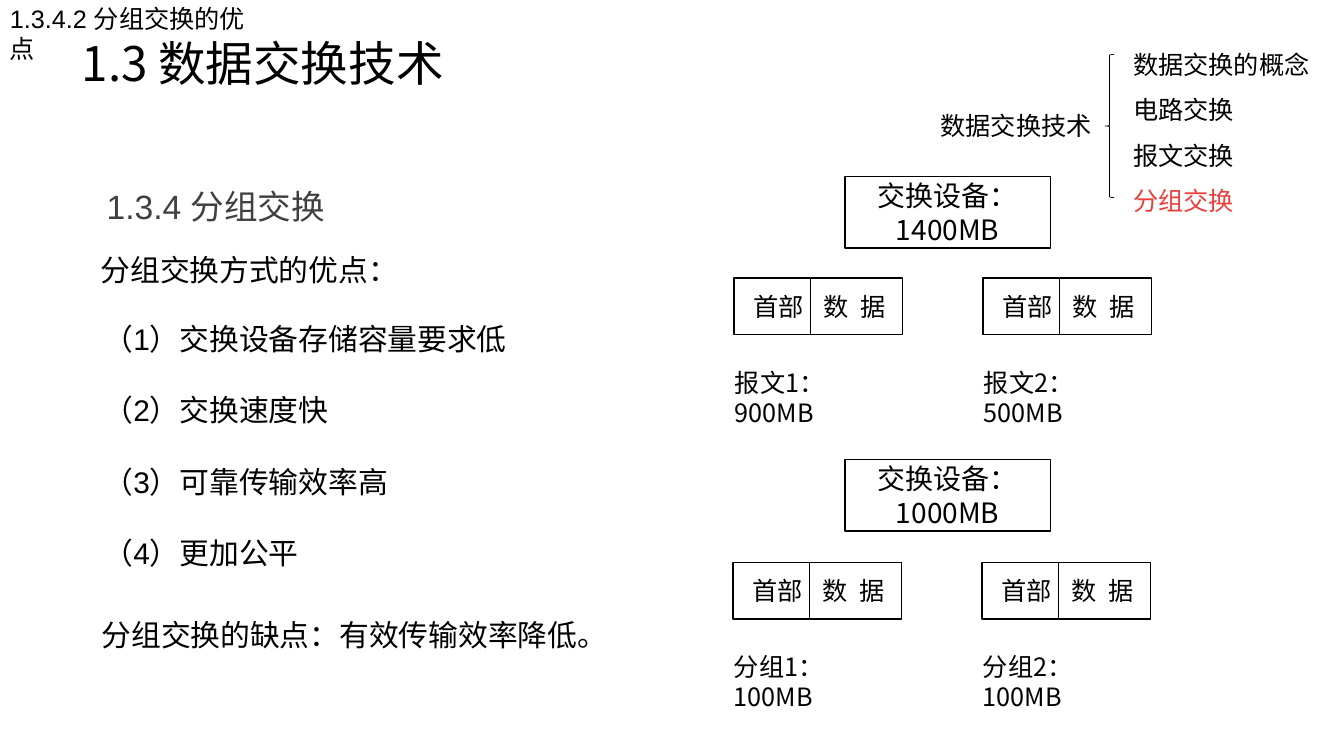
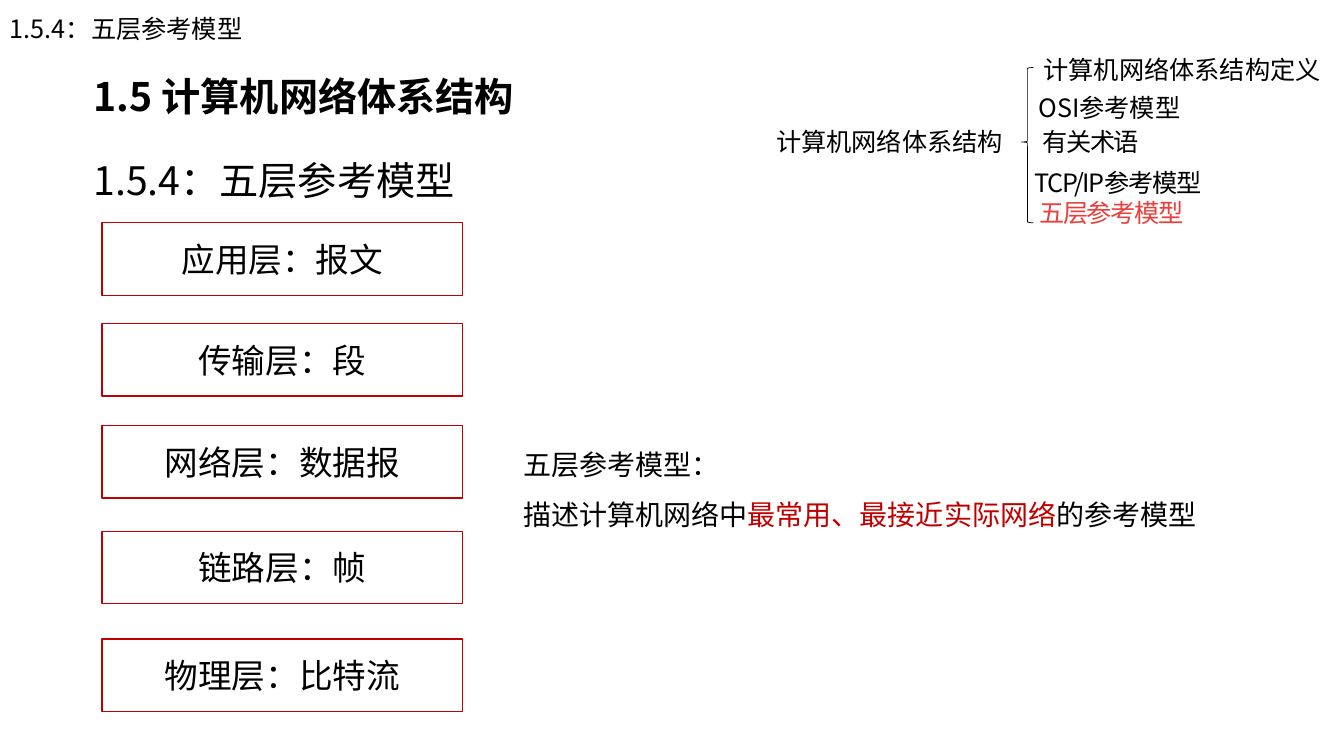
from pptx import Presentation
from pptx.dml.color import RGBColor
from pptx.enum.lang import MSO_LANGUAGE_ID
from pptx.enum.shapes import MSO_SHAPE
from pptx.enum.text import MSO_ANCHOR, PP_ALIGN
from pptx.oxml import parse_xml
from pptx.oxml.ns import nsdecls
from pptx.util import Emu, Pt

EMU_PER_PX = 9144
BLACK = RGBColor(0x00, 0x00, 0x00)
GRAY = RGBColor(0x40, 0x40, 0x40)
WHITE = RGBColor(0xFF, 0xFF, 0xFF)
RED = RGBColor(0xC0, 0x00, 0x00)
ACTIVE = RGBColor(0xE9, 0x40, 0x3C)
LATIN = "Arial"
CJK = "Noto Sans CJK SC"
TITLE_ONLY = 5


def px(value):
    return Emu(value * EMU_PER_PX)


def box_lengths(box):
    return [px(value) for value in box]


def add_run(paragraph, text, size, color=BLACK, font=CJK, bold=False, tracking=0):
    run = paragraph.add_run()
    run.text = text
    run.font.size = Pt(size)
    run.font.bold = bold
    run.font.color.rgb = color
    run.font.name = font
    run.font.language_id = MSO_LANGUAGE_ID.SIMPLIFIED_CHINESE
    properties = run.font._element
    if tracking:
        properties.set("spc", str(tracking * 100))
    latin = properties.find("{*}latin")
    latin.addnext(parse_xml(f'<a:ea {nsdecls("a")} typeface="{CJK}"/>'))


def fill_frame(frame, lines, size, color=BLACK, font=CJK, align=PP_ALIGN.LEFT,
               anchor=MSO_ANCHOR.TOP, spacing=1.0, gap=0, bold=False, tracking=0):
    frame.word_wrap = True
    frame.vertical_anchor = anchor
    for index, line in enumerate(lines):
        paragraph = frame.add_paragraph() if index else frame.paragraphs[0]
        paragraph.alignment = align
        paragraph.line_spacing = spacing
        paragraph.space_before = Pt(gap if index else 0)
        runs = [(line, color)] if isinstance(line, str) else line
        for text, run_color in runs:
            add_run(paragraph, text, size, run_color, font, bold, tracking)


def add_text(slide, box, lines, size, **style):
    shape = slide.shapes.add_textbox(*box_lengths(box))
    fill_frame(shape.text_frame, lines, size, **style)


def add_box(slide, box, lines, size, line_color=BLACK, fill_color=WHITE,
            align=PP_ALIGN.CENTER, inset=10, tracking=0):
    shape = slide.shapes.add_shape(MSO_SHAPE.RECTANGLE, *box_lengths(box))
    shape.shadow.inherit = False
    if fill_color is None:
        shape.fill.background()
    else:
        shape.fill.solid()
        shape.fill.fore_color.rgb = fill_color
    shape.line.color.rgb = line_color
    shape.line.width = Pt(1)
    frame = shape.text_frame
    frame.margin_left = px(inset)
    frame.margin_right = px(0 if align == PP_ALIGN.LEFT else inset)
    fill_frame(frame, lines, size, align=align, anchor=MSO_ANCHOR.MIDDLE,
               tracking=tracking)


def add_brace(slide, box, middle=0.5):
    shape = slide.shapes.add_shape(MSO_SHAPE.LEFT_BRACE, *box_lengths(box))
    shape.shadow.inherit = False
    shape.fill.background()
    shape.line.color.rgb = BLACK
    shape.line.width = Pt(0.5)
    shape.adjustments[0] = 0.08
    shape.adjustments[1] = middle


def add_titled_slide(presentation, title, box, size, bold, corner, corner_top):
    slide = presentation.slides.add_slide(presentation.slide_layouts[TITLE_ONLY])
    shape = slide.shapes.title
    shape.left, shape.top, shape.width, shape.height = box_lengths(box)
    fill_frame(shape.text_frame, [title], size, anchor=MSO_ANCHOR.MIDDLE, bold=bold)
    font = CJK if bold else LATIN
    add_text(slide, (0, corner_top, 270, 40), [corner], 18, font=font)
    return slide


def add_packet(slide, left, top, caption):
    add_box(slide, (left, top, 76, 56), ["首部"], 18, align=PP_ALIGN.LEFT, inset=19)
    add_box(slide, (left + 76, top, 91, 56), ["数 据"], 18,
            align=PP_ALIGN.LEFT, inset=13, tracking=2)
    add_text(slide, (left - 9, top + 83, 150, 70), [caption], 18)


def add_switching_slide(presentation):
    slide = add_titled_slide(presentation, "1.3 数据交换技术", (71, 27, 451, 70), 34,
                             False, "1.3.4.2 分组交换的优点", -2)
    add_text(slide, (96, 160, 500, 60), ["1.3.4 分组交换"], 24,
             color=GRAY, font=LATIN, spacing=1.5)
    add_text(slide, (90, 245, 367, 46), ["分组交换方式的优点："], 21.3, font=LATIN)
    advantages = ["（1）交换设备存储容量要求低", "（2）交换速度快",
                  "（3）可靠传输效率高", "（4）更加公平"]
    add_text(slide, (93, 313, 585, 291), advantages, 21.3, font=LATIN, gap=25.5)
    add_text(slide, (91, 607, 627, 46), ["分组交换的缺点：有效传输效率降低。"],
             21.3, font=LATIN)

    add_text(slide, (923, 105, 251, 40), ["数据交换技术"], 18, font=LATIN)
    add_brace(slide, (1096, 54, 9, 142))
    topics = ["数据交换的概念", "电路交换", "报文交换", [("分组交换", ACTIVE)]]
    add_text(slide, (1114, 29, 208, 192), topics, 18, font=LATIN, spacing=1.5)

    rows = [(175, 728, 276, "1400MB", ["报文1：900MB", "报文2：500MB"]),
            (456, 727, 558, "1000MB", ["分组1：100MB", "分组2：100MB"])]
    for device_top, packet_left, packet_top, capacity, captions in rows:
        add_box(slide, (838, device_top, 204, 71), ["交换设备：", capacity], 20)
        for column, caption in enumerate(captions):
            add_packet(slide, packet_left + 247 * column, packet_top, caption)


def add_layers_slide(presentation):
    slide = add_titled_slide(presentation, "1.5 计算机网络体系结构", (83, 66, 640, 59),
                             28, True, "1.5.4：五层参考模型", 8)
    add_text(slide, (83, 115, 640, 104), ["1.5.4：五层参考模型"], 28,
             anchor=MSO_ANCHOR.MIDDLE, spacing=1.5)
    layers = [(221, "应用层：报文"), (321, "传输层：段"), (422, "网络层：数据报"),
              (527, "链路层：帧"), (634, "物理层：比特流")]
    for top, layer in layers:
        add_box(slide, (101, top, 358, 72), [layer], 24, line_color=RED, fill_color=None)
    definition = [("描述计算机网络中", BLACK), ("最常用、最接近实际网络", RED),
                  ("的参考模型", BLACK)]
    add_text(slide, (509, 422, 752, 111), ["五层参考模型：", definition], 20, spacing=1.5)

    add_text(slide, (760, 120, 250, 40), ["计算机网络体系结构"], 18)
    add_brace(slide, (1013, 67, 12, 154), 0.48)
    topics = [(1025, 49, "计算机网络体系结构定义", BLACK, 0),
              (1020, 87, "OSI参考模型", BLACK, 0),
              (1024, 120, "有关术语", BLACK, -1),
              (1016, 161, "TCP/IP参考模型", BLACK, -1),
              (1021, 191, "五层参考模型", ACTIVE, -1)]
    for left, top, topic, color, tracking in topics:
        add_text(slide, (left, top, 305, 40), [topic], 18, color=color, tracking=tracking)


def main():
    presentation = Presentation()
    presentation.slide_width = px(1333)
    presentation.slide_height = px(750)
    add_switching_slide(presentation)
    add_layers_slide(presentation)
    presentation.save("out.pptx")


if __name__ == "__main__":
    main()
